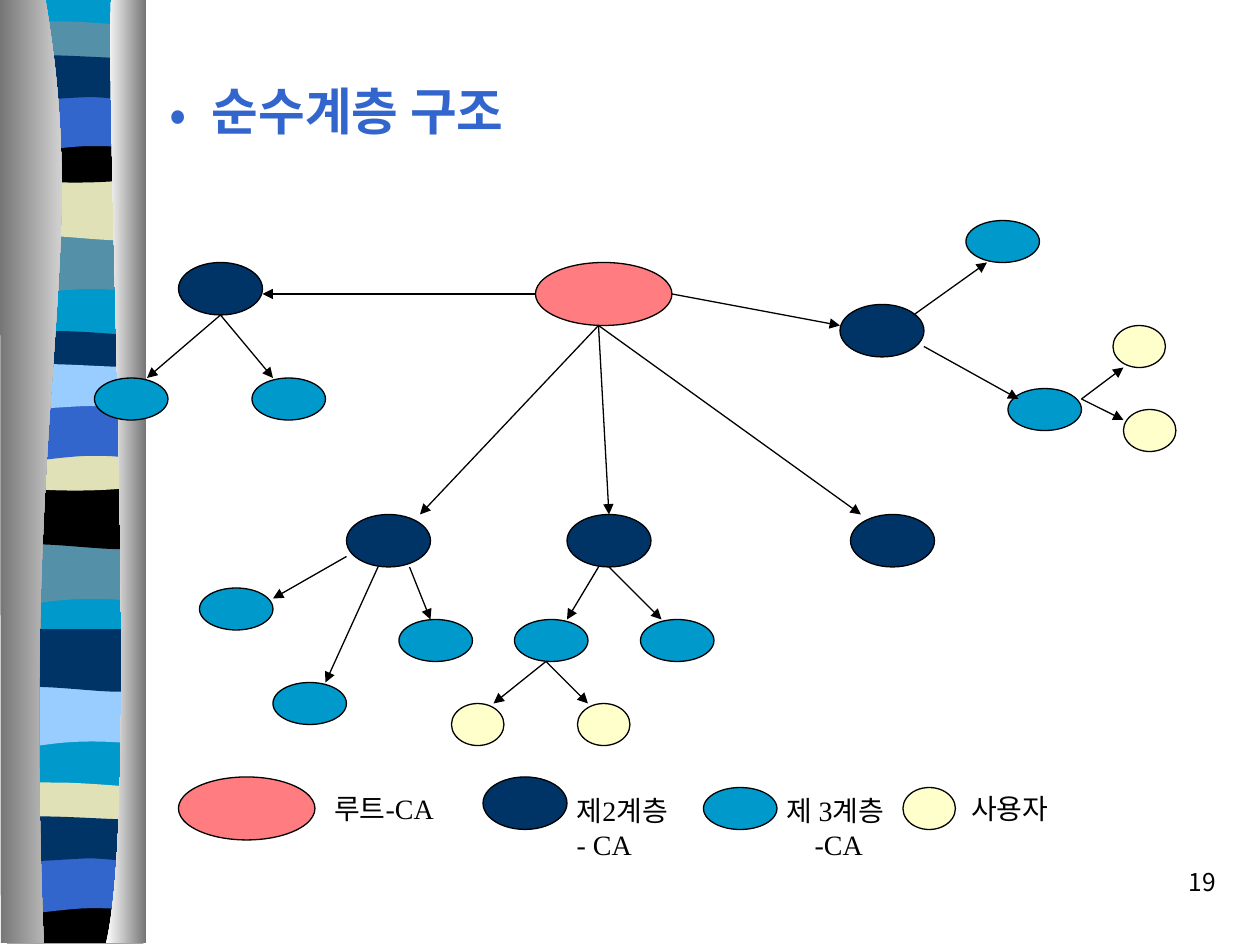
"""Build a slide showing a pure hierarchy of certification authorities."""
from dataclasses import dataclass

from lxml.etree import SubElement
from pptx import Presentation
from pptx.dml.color import RGBColor
from pptx.enum.shapes import MSO_CONNECTOR, MSO_SHAPE
from pptx.enum.text import MSO_ANCHOR, PP_ALIGN
from pptx.oxml.ns import qn
from pptx.util import Pt


@dataclass(frozen=True)
class Theme:
    black: str = "000000"
    navy: str = "003366"
    blue: str = "3366CC"
    cyan: str = "0099CC"
    sky: str = "99CCFF"
    teal: str = "5490A8"
    sand: str = "E1E1B7"
    coral: str = "FF7C80"
    cream: str = "FFFFCC"
    gray: str = "767676"
    white: str = "FFFFFF"
    sans: str = "Noto Sans CJK KR"
    serif: str = "Times New Roman"
    title_size: float = 29
    label_size: float = 16
    number_size: float = 14
    line_width: float = 0.75


THEME = Theme()

OUTLINES = {
    "wave": [(78, 0), (78, 34), (24, 28, 13, 39.6, 0, 34), (0, 0)],
    "slope": [(78, 0), (78, 34), (65, 39.6, 24, 30, 0, 34), (0, 0)],
    "lens": [(78, 3.6), (78, 21), (65, 23.8, 13, 23.8, 0, 21), (0, 3.6),
             (4.3, 0, 16.6, 0.7, 29.5, 0.7), (42.5, 0.7, 67.7, 2.9, 78, 3.6)],
    "bowl": [(78, 0), (78, 23), (65, 27.4, 13, 27.4, 0, 23), (0, 0),
             (47.5, 3.6, 61, 0, 78, 0)],
    "floor": [(78, 0), (78, 26.5), (0, 26.5), (0, 0), (47.5, 3.6, 61, 0, 78, 0)],
    "arch": [(78, 0), (78, 34), (66, 30, 61, 30, 47.5, 30),
             (34.6, 30, 11.5, 34, 0, 34), (0, 0)],
    "ripple": [(78, 3.6), (78, 26), (73, 29.5, 60.5, 26, 47.5, 26),
               (34.6, 26, 8, 29.5, 0, 26), (0, 3.6),
               (11, 0, 52.6, 3.6, 65.5, 3.6), (78, 3.6)],
}
STRIPES = [
    ("wave", 133, THEME.teal), ("slope", 101.5, THEME.sand),
    ("lens", 11.5, THEME.teal), ("bowl", 78, THEME.black),
    ("arch", 53.5, THEME.blue), ("ripple", 29.5, THEME.navy),
    ("wave", 310, THEME.teal), ("slope", 278, THEME.black),
    ("lens", 188.5, THEME.navy), ("bowl", 254, THEME.sand),
    ("arch", 230.5, THEME.blue), ("ripple", 206, THEME.sky),
    ("wave", 391.5, THEME.sky), ("slope", 359.5, THEME.navy),
    ("lens", 446.5, THEME.sand), ("floor", 512.5, THEME.black),
    ("arch", 489, THEME.blue), ("ripple", 464.5, THEME.navy),
]
LEFT_COLUMN = [(26, 0), (52.5, 156, 12, 213, 25, 539), (0.5, 539), (0, 0)]
RIGHT_COLUMN = [(63.5, 0), (60.5, 90, 80, 465, 60.5, 539), (83.5, 539), (83.5, 0)]

NODES = [
    (THEME.coral, (78, 36), [(306, 150), (102, 444)]),
    (THEME.navy, (48, 30), [(102, 150), (198, 294), (324, 294), (486, 294),
                            (480, 174), (276, 444)]),
    (THEME.cyan, (42, 24), [(576, 222), (228, 354), (114, 336), (144, 216),
                            (54, 216), (366, 354), (294, 354), (156, 390),
                            (552, 126), (402, 450)]),
    (THEME.cream, (30, 24), [(330, 402), (258, 402), (642, 234), (636, 186),
                             (516, 450)]),
]
ARROWS = {
    (306, 168): [(150, 168)],
    (342, 186): [(240, 294), (348, 294), (492, 294)],
    (384, 168): [(480, 186)],
    (126, 180): [(84, 216), (156, 216)],
    (198, 318): [(156, 342)],
    (216, 324): [(186, 390)],
    (234, 324): [(246, 354)],
    (342, 324): [(324, 354)],
    (348, 324): [(378, 354)],
    (522, 180): [(564, 150)],
    (528, 198): [(582, 228)],
    (618, 228): [(642, 210), (642, 240)],
    (312, 378): [(282, 402), (336, 402)],
}
LABELS = [
    (184, 448.5, 78, 27, ["루트-CA"], 0),
    (322.5, 450, 78, 46, ["제2계층", "- CA"], 0),
    (442.5, 450, 82, 46, ["제 3계층", "-CA"], 16),
    (548, 449, 66, 27, ["사용자"], 0),
]


def color(value):
    """Turn a hex string into a colour."""
    return RGBColor.from_string(value)


def paint(shape, fill, outlined=False):
    """Give a shape a plain fill, no shadow and an optional black line."""
    shape.shadow.inherit = False
    shape.fill.solid()
    shape.fill.fore_color.rgb = color(fill)
    if outlined:
        shape.line.color.rgb = color(THEME.black)
        shape.line.width = Pt(THEME.line_width)
    else:
        shape.line.fill.background()


def add_outline(slide, outline, fill, left=0, top=0):
    """Draw a closed outline whose six-number segments are cubic curves."""
    points = [(Pt(left + segment[i]), Pt(top + segment[i + 1]))
              for segment in outline for i in range(0, len(segment), 2)]
    builder = slide.shapes.build_freeform(*points[0], scale=1.0)
    builder.add_line_segments(points[1:], close=True)
    shape = builder.convert_to_shape()
    lines = iter(list(shape._element.iter(qn("a:lnTo"))))
    for segment in outline[1:]:
        line = next(lines)
        if len(segment) == 6:
            line.tag = qn("a:cubicBezTo")
            for control in (next(lines), next(lines)):
                line.append(control[0])
                control.getparent().remove(control)
    paint(shape, fill)
    return shape


def add_column(slide, outline, start, end):
    """Draw a column shaded from left to right."""
    shape = add_outline(slide, outline, start)
    shape.fill.gradient()
    shape.fill.gradient_angle = 0
    for stop, value in zip(shape.fill.gradient_stops, (start, end)):
        stop.color.rgb = color(value)


def add_node(slide, left, top, size, fill):
    """Draw one authority or user as an ellipse."""
    width, height = size
    shape = slide.shapes.add_shape(
        MSO_SHAPE.OVAL, Pt(left), Pt(top), Pt(width), Pt(height))
    paint(shape, fill, outlined=True)


def add_arrow(slide, start, end):
    """Draw a straight line with an arrowhead at its end."""
    connector = slide.shapes.add_connector(
        MSO_CONNECTOR.STRAIGHT, *(Pt(value) for value in start + end))
    connector.line.color.rgb = color(THEME.black)
    connector.line.width = Pt(THEME.line_width)
    SubElement(connector.line._get_or_add_ln(), qn("a:tailEnd"), type="triangle")
    SubElement(connector._element.spPr, qn("a:effectLst"))


def add_text(slide, left, top, width, height, lines, font, size,
             fill=THEME.black, bold=False, wrap=True):
    """Add a text box and return its text frame."""
    frame = slide.shapes.add_textbox(Pt(left), Pt(top), Pt(width), Pt(height)).text_frame
    frame.word_wrap = wrap
    frame.text = "\n".join(lines)
    for paragraph in frame.paragraphs:
        paragraph.font.name = font
        paragraph.font.size = Pt(size)
        paragraph.font.bold = bold
        paragraph.font.color.rgb = color(fill)
        defaults = paragraph._p.get_or_add_pPr().find(qn("a:defRPr"))
        SubElement(defaults, qn("a:ea"), typeface=THEME.sans)
    return frame


def indent(paragraph, margin, first_line=0):
    """Set the left margin and first-line indent and return the properties."""
    properties = paragraph._p.get_or_add_pPr()
    properties.set("marL", str(Pt(margin)))
    properties.set("indent", str(Pt(first_line)))
    return properties


def add_title(slide, text):
    """Add the bulleted heading."""
    frame = add_text(slide, 90, 18, 612, 90, [text], THEME.sans,
                     THEME.title_size, THEME.blue, bold=True)
    frame.vertical_anchor = MSO_ANCHOR.MIDDLE
    properties = indent(frame.paragraphs[0], 24, -24)
    defaults = properties.find(qn("a:defRPr"))
    defaults.addprevious(SubElement(properties, qn("a:buFont"), typeface=THEME.sans))
    defaults.addprevious(SubElement(properties, qn("a:buChar"), char="•"))


def main():
    """Build and save the slide."""
    presentation = Presentation()
    presentation.slide_width, presentation.slide_height = Pt(720), Pt(540)
    slide = presentation.slides.add_slide(presentation.slide_layouts[6])
    backing = slide.shapes.add_shape(MSO_SHAPE.RECTANGLE, Pt(4), 0, Pt(78), Pt(538))
    paint(backing, THEME.cyan)
    for name, top, fill in STRIPES:
        add_outline(slide, OUTLINES[name], fill, 4, top)
    add_column(slide, LEFT_COLUMN, THEME.gray, THEME.white)
    add_column(slide, RIGHT_COLUMN, THEME.white, THEME.gray)
    add_title(slide, "순수계층 구조")
    for fill, size, places in NODES:
        for left, top in places:
            add_node(slide, left, top, size, fill)
    for start, ends in ARROWS.items():
        for end in ends:
            add_arrow(slide, start, end)
    for *box, lines, last_margin in LABELS:
        frame = add_text(slide, *box, lines, THEME.serif, THEME.label_size, wrap=False)
        indent(frame.paragraphs[-1], last_margin)
    number = add_text(slide, 552, 492, 150, 36, ["19"], THEME.sans, THEME.number_size)
    number.paragraphs[0].alignment = PP_ALIGN.RIGHT
    number.paragraphs[0].space_before = Pt(8.8)
    presentation.save("out.pptx")


if __name__ == "__main__":
    main()
